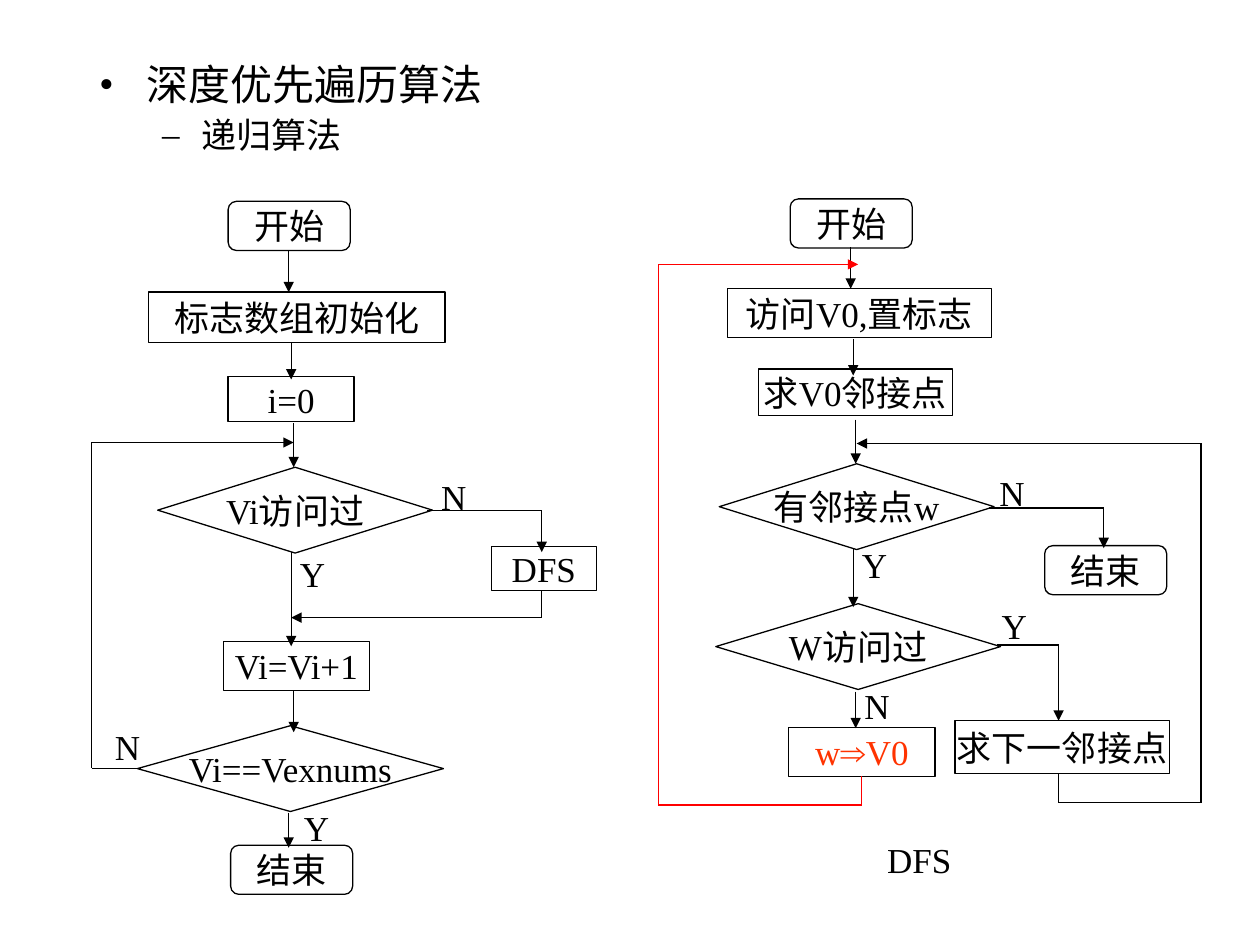
from dataclasses import dataclass
from itertools import pairwise

from lxml.etree import SubElement
from pptx import Presentation
from pptx.dml.color import RGBColor
from pptx.enum.shapes import MSO_CONNECTOR, MSO_SHAPE
from pptx.enum.text import MSO_ANCHOR, PP_ALIGN
from pptx.oxml.ns import qn
from pptx.shapes.shapetree import GroupShapes, SlideShapes
from pptx.text.text import TextFrame, _Paragraph
from pptx.util import Cm, Pt

BLACK = RGBColor(0x00, 0x00, 0x00)
RED = RGBColor(0xFF, 0x00, 0x00)
ORANGE_RED = RGBColor(0xFF, 0x33, 0x00)
SERIF = "Times New Roman"
SANS = "Arial"
LINE_WIDTH = Pt(0.75)

TERMINAL = MSO_SHAPE.FLOWCHART_ALTERNATE_PROCESS
PROCESS = MSO_SHAPE.FLOWCHART_PROCESS
DECISION = MSO_SHAPE.FLOWCHART_DECISION


@dataclass(frozen=True)
class Node:
    kind: MSO_SHAPE
    text: str
    left: float
    top: float
    width: float = 2.46
    height: float = 0.99
    color: RGBColor = BLACK


@dataclass(frozen=True)
class Route:
    points: tuple[tuple[float, float], ...]
    color: RGBColor = BLACK


@dataclass(frozen=True)
class Label:
    text: str
    left: float
    top: float
    width: float = 1.02


@dataclass(frozen=True)
class Flowchart:
    nodes: list[Node]
    routes: list[Route]
    labels: list[Label]


def down(x: float, top: float, bottom: float) -> Route:
    return Route(((x, top), (x, bottom)))


def write_text(
    paragraph: _Paragraph,
    text: str,
    *,
    size: float = 20,
    color: RGBColor = BLACK,
    alignment: PP_ALIGN = PP_ALIGN.CENTER,
) -> None:
    paragraph.alignment = alignment
    before, arrow, after = text.partition("⇒")
    for part, font_name in ((before, SERIF), (arrow, SANS), (after, SERIF)):
        if part:
            run = paragraph.add_run()
            run.text = part
            run.font.name = font_name
            run.font.size = Pt(size)
            run.font.color.rgb = color


def center_text(frame: TextFrame, text: str, color: RGBColor = BLACK) -> None:
    frame.word_wrap = False
    frame.vertical_anchor = MSO_ANCHOR.MIDDLE
    write_text(frame.paragraphs[0], text, color=color)


def draw_node(shapes: SlideShapes | GroupShapes, node: Node) -> None:
    shape = shapes.add_shape(
        node.kind, Cm(node.left), Cm(node.top), Cm(node.width), Cm(node.height)
    )
    shape.shadow.inherit = False
    shape.fill.background()
    shape.line.color.rgb = BLACK
    shape.line.width = LINE_WIDTH
    center_text(shape.text_frame, node.text, node.color)


def draw_route(shapes: SlideShapes | GroupShapes, route: Route, arrow: bool = True) -> None:
    for start, end in pairwise(route.points):
        connector = shapes.add_connector(
            MSO_CONNECTOR.STRAIGHT, *(Cm(value) for value in start + end)
        )
        connector.line.color.rgb = route.color
        connector.line.width = LINE_WIDTH
        properties = connector.element.spPr
        if arrow and end == route.points[-1]:
            SubElement(properties.find(qn("a:ln")), qn("a:tailEnd"), type="triangle")
        SubElement(properties, qn("a:effectLst"))


def draw_label(shapes: SlideShapes | GroupShapes, label: Label) -> None:
    box = shapes.add_textbox(Cm(label.left), Cm(label.top), Cm(label.width), Cm(1.12))
    center_text(box.text_frame, label.text)


def draw_flowchart(shapes: SlideShapes | GroupShapes, flowchart: Flowchart) -> None:
    for node in flowchart.nodes:
        draw_node(shapes, node)
    for route in flowchart.routes:
        draw_route(shapes, route)
    for label in flowchart.labels:
        draw_label(shapes, label)


def write_bullet(
    paragraph: _Paragraph, text: str, *, bullet: str, level: int,
    size: float, margin: float, hanging: float,
) -> None:
    paragraph.level = level
    properties = paragraph._p.get_or_add_pPr()
    properties.set("marL", str(Cm(margin)))
    properties.set("indent", str(-Cm(hanging)))
    SubElement(properties, qn("a:buFont"), typeface=SERIF)
    SubElement(properties, qn("a:buChar"), char=bullet)
    paragraph.line_spacing = 0.9
    write_text(paragraph, text, size=size, alignment=PP_ALIGN.LEFT)


def draw_heading(shapes: SlideShapes) -> None:
    frame = shapes.add_textbox(Cm(1.75), Cm(1.17), Cm(13.54), Cm(2.13)).text_frame
    frame.word_wrap = True
    write_bullet(frame.paragraphs[0], "深度优先遍历算法", bullet="•", level=0,
                 size=24, margin=0.95, hanging=0.95)
    subheading = frame.add_paragraph()
    write_bullet(subheading, "递归算法", bullet="–", level=1,
                 size=20, margin=2.06, hanging=0.79)
    subheading.space_before = Pt(5)


TRAVERSAL = Flowchart(
    nodes=[
        Node(TERMINAL, "开始", 4.6, 4.06),
        Node(PROCESS, "标志数组初始化", 3, 5.89, 5.97, 1.02),
        Node(PROCESS, "i=0", 4.6, 7.59, 2.54, 0.91),
        Node(DECISION, "Vi访问过", 3.18, 9.42, 5.54, 1.73),
        Node(PROCESS, "DFS", 9.91, 11.02, 2.11, 0.89),
        Node(PROCESS, "Vi=Vi+1", 4.5, 12.93, 2.95),
        Node(DECISION, "Vi==Vexnums", 2.77, 14.63, 6.17, 1.73),
        Node(TERMINAL, "结束", 4.65, 17.04),
    ],
    routes=[
        down(5.82, 5.05, 5.89),
        down(5.87, 6.91, 7.65),
        down(5.92, 8.53, 9.42),
        down(5.87, 11.13, 13.03),
        down(5.92, 13.92, 14.76),
        down(5.82, 16.38, 17.09),
        Route(((8.61, 10.29), (10.92, 10.29), (10.92, 11.13))),
        Route(((10.92, 11.91), (10.92, 12.45), (5.87, 12.45))),
        Route(((2.84, 15.49), (1.85, 15.49), (1.85, 8.92), (5.92, 8.92))),
    ],
    labels=[
        Label("N", 8.64, 9.45),
        Label("N", 2.06, 14.48),
        Label("Y", 5.79, 11),
        Label("Y", 5.87, 16.13),
    ],
)

DEPTH_FIRST_SEARCH = Flowchart(
    nodes=[
        Node(TERMINAL, "开始", 15.93, 4.01),
        Node(PROCESS, "访问V0,置标志", 14.66, 5.82, 5.33),
        Node(PROCESS, "求V0邻接点", 15.29, 7.44, 3.91, 0.94),
        Node(DECISION, "有邻接点w", 14.5, 9.35, 5.54, 1.73),
        Node(PROCESS, "求下一邻接点", 19.25, 14.53, 4.32, 1.07),
        Node(PROCESS, "w⇒V0", 15.9, 14.66, 2.95, color=ORANGE_RED),
        Node(DECISION, "W访问过", 14.43, 12.17, 5.74, 1.73),
        Node(TERMINAL, "结束", 21.06, 11),
    ],
    routes=[
        down(17.15, 4.98, 5.82),
        down(17.2, 6.83, 7.57),
        down(17.25, 8.46, 9.35),
        down(17.2, 11.05, 12.24),
        down(17.25, 13.94, 14.68),
        Route(((19.94, 10.24), (22.25, 10.24), (22.25, 11.05))),
        Route(((20.09, 13), (21.34, 13), (21.34, 14.53))),
        Route(((21.34, 15.6), (21.34, 16.18), (24.21, 16.18), (24.21, 8.94), (17.27, 8.94))),
        Route(((17.37, 15.65), (17.37, 16.23), (13.27, 16.23), (13.27, 5.33), (17.3, 5.33)), RED),
    ],
    labels=[
        Label("N", 19.89, 9.37),
        Label("Y", 17.12, 10.82),
        Label("N", 17.17, 13.67),
        Label("Y", 19.94, 12.04),
        Label("DFS", 17.63, 16.76, 1.8),
    ],
)


def main() -> None:
    presentation = Presentation()
    presentation.slide_width, presentation.slide_height = Cm(25.4), Cm(19.05)
    slide = presentation.slides.add_slide(presentation.slide_layouts[6])
    draw_heading(slide.shapes)
    draw_flowchart(slide.shapes, DEPTH_FIRST_SEARCH)
    draw_flowchart(slide.shapes.add_group_shape().shapes, TRAVERSAL)
    presentation.save("out.pptx")


if __name__ == "__main__":
    main()
